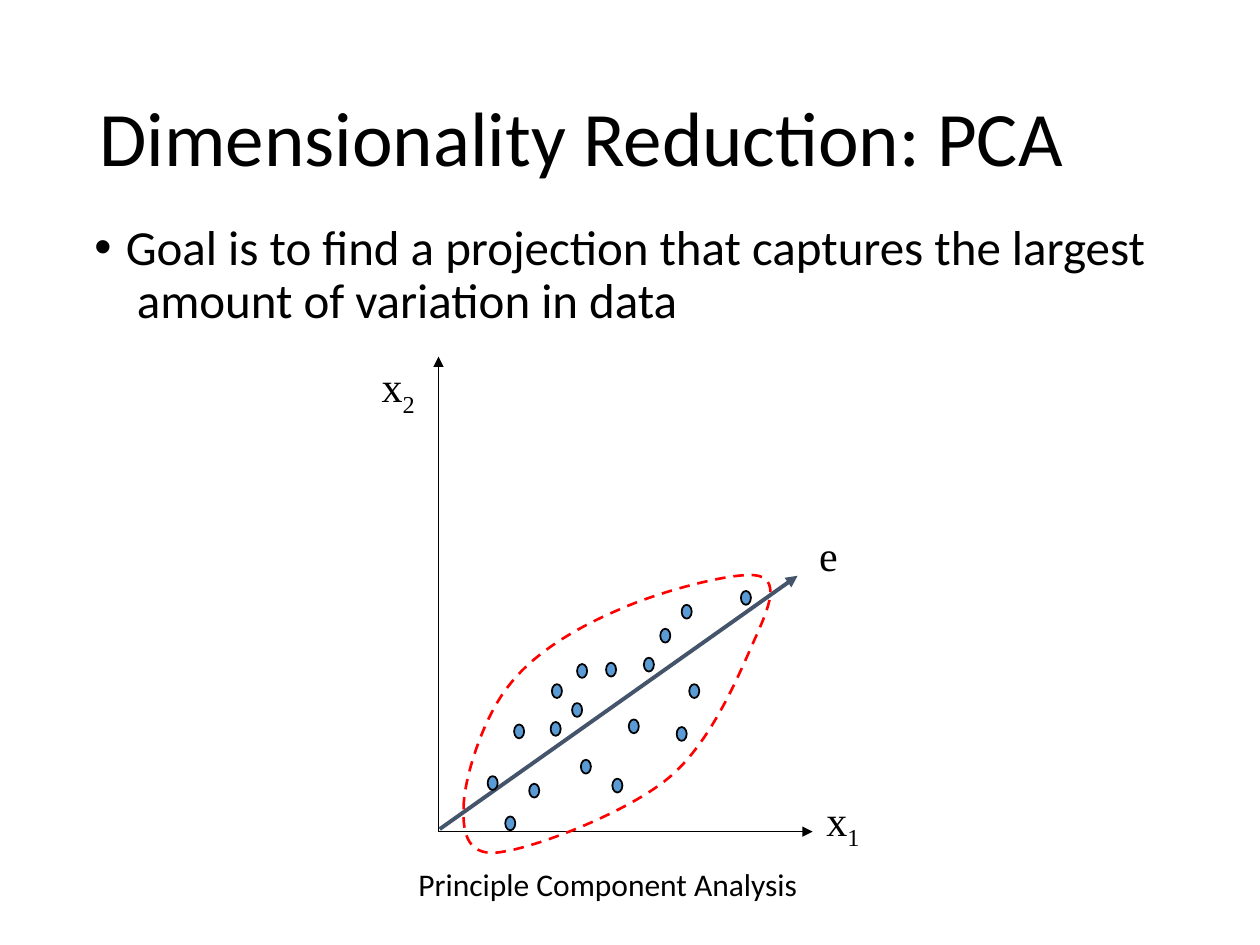
from dataclasses import dataclass

from lxml import etree
from pptx import Presentation
from pptx.dml.color import RGBColor
from pptx.enum.dml import MSO_LINE
from pptx.enum.shapes import MSO_CONNECTOR, MSO_SHAPE
from pptx.enum.text import MSO_ANCHOR, PP_ALIGN
from pptx.oxml.ns import qn
from pptx.util import Inches, Pt

OVAL = MSO_SHAPE.OVAL
LINE = MSO_CONNECTOR.STRAIGHT
DASH = MSO_LINE.DASH
TOP, MIDDLE = MSO_ANCHOR.TOP, MSO_ANCHOR.MIDDLE
LEFT, CENTER = PP_ALIGN.LEFT, PP_ALIGN.CENTER


@dataclass(frozen=True)
class Theme:
    ink: str = "000000"
    vector: str = "44546A"
    point: str = "5B9BD5"
    outline: str = "FF0000"
    sans: str = "Calibri"
    serif: str = "Times New Roman"
    title: int = 44
    body: int = 28
    label: int = 24
    caption: int = 18


class Canvas:
    def __init__(self, slide, theme):
        self.shapes = slide.shapes
        self.theme = theme

    def stroke(self, line, color, width):
        line.color.rgb = RGBColor.from_string(color)
        line.width = Pt(width)

    def text(self, box, runs, size, font, align=LEFT, anchor=TOP,
             wrap=True, spacing=None, bullet=False):
        shape = self.shapes.add_textbox(*map(Inches, box))
        frame = shape.text_frame
        frame.word_wrap = wrap
        frame.vertical_anchor = anchor
        para = frame.paragraphs[0]
        para.alignment = align
        if spacing:
            para.line_spacing = spacing
        if bullet:
            props = para._p.get_or_add_pPr()
            props.set("marL", str(Inches(0.25)))
            props.set("indent", str(Inches(-0.25)))
            etree.SubElement(props, qn("a:buFont")).set("typeface", "Arial")
            etree.SubElement(props, qn("a:buChar")).set("char", "•")
        for words, base in runs:
            run = para.add_run()
            run.text = words
            run.font.size = Pt(size)
            run.font.name = font
            run.font.color.rgb = RGBColor.from_string(self.theme.ink)
            if base:
                run._r.get_or_add_rPr().set("baseline", str(base * 1000))

    def label(self, box, *runs):
        self.text(box, runs, self.theme.label, self.theme.serif,
                  CENTER, MIDDLE, wrap=False)

    def arrow(self, start, end, color, width):
        link = self.shapes.add_connector(LINE, *map(Inches, start + end))
        self.stroke(link.line, color, width)
        etree.SubElement(link.line._get_or_add_ln(),
                         qn("a:tailEnd")).set("type", "triangle")
        etree.SubElement(link._element.spPr, qn("a:effectLst"))

    def dot(self, x, y):
        shape = self.shapes.add_shape(
            OVAL, *map(Inches, (x, y, 0.08, 0.11)))
        shape.shadow.inherit = False
        shape.fill.solid()
        shape.fill.fore_color.rgb = RGBColor.from_string(self.theme.point)
        self.stroke(shape.line, self.theme.ink, 1)

    def curve(self, start, points):
        draft = self.shapes.build_freeform(
            Inches(start[0]), Inches(start[1]))
        draft.add_line_segments(
            [(Inches(x), Inches(y)) for x, y in points], close=True)
        shape = draft.convert_to_shape()
        shape.shadow.inherit = False
        shape.fill.background()
        self.stroke(shape.line, self.theme.outline, 1.5)
        shape.line.dash_style = DASH
        steps = list(shape._element.iter(qn("a:lnTo")))
        for i in range(0, len(steps), 3):
            bend = etree.Element(qn("a:cubicBezTo"))
            steps[i].addprevious(bend)
            for step in steps[i:i + 3]:
                bend.append(step[0])
                step.getparent().remove(step)


DOTS = [
    (4.08, 5.75), (4.38, 5.43), (3.87, 6.16), (4.54, 5.58), (4.37, 5.73),
    (4.99, 5.71), (4.86, 6.18), (4.61, 6.03), (4.81, 5.26), (5.47, 5.43),
    (5.88, 4.69), (4.2, 6.22), (5.11, 5.22), (5.41, 4.8), (4.58, 5.27),
    (5.24, 4.99), (5.37, 5.77), (4.01, 6.48),
]
START = (3.68, 6.41)
BENDS = [
    (3.68, 6.19), (3.83, 5.7), (4.04, 5.44),
    (4.24, 5.18), (4.58, 4.98), (4.91, 4.84),
    (5.24, 4.69), (5.85, 4.53), (6.02, 4.57),
    (6.2, 4.62), (6.09, 4.85), (5.97, 5.12),
    (5.85, 5.39), (5.63, 5.91), (5.3, 6.18),
    (4.97, 6.45), (4.27, 6.72), (3.99, 6.76),
    (3.72, 6.81), (3.67, 6.63), START,
]
ORIGIN = (3.48, 6.6)


def main():
    deck = Presentation()
    deck.slide_width, deck.slide_height = Inches(10), Inches(7.5)
    theme = Theme()
    art = Canvas(deck.slides.add_slide(deck.slide_layouts[6]), theme)

    art.text((0.69, 0.4, 8.62, 1.45),
             [("Dimensionality Reduction: PCA", 0)],
             theme.title, theme.sans, anchor=MIDDLE, spacing=0.9)
    art.text((0.65, 1.72, 8.62, 4.76),
             [("Goal is to find a projection that captures the largest"
               "  amount of variation in data", 0)],
             theme.body, theme.sans, spacing=0.9, bullet=True)

    art.arrow(ORIGIN, (3.48, 2.83), theme.ink, 1)
    art.arrow(ORIGIN, (6.45, 6.6), theme.ink, 1)
    art.arrow((3.49, 6.58), (6.33, 4.57), theme.vector, 2.25)
    for x, y in DOTS:
        art.dot(x, y)
    art.curve(START, BENDS)

    art.label((2.92, 2.84, 0.48, 0.5), ("x", 0), ("2", -25))
    art.label((6.45, 6.28, 0.48, 0.5), ("x", 0), ("1", -25))
    art.label((6.4, 4.15, 0.35, 0.5), ("e", 0))
    art.text((3.14, 6.82, 3.37, 0.4), [("Principle Component Analysis", 0)],
             theme.caption, theme.sans, CENTER, wrap=False)
    deck.save("out.pptx")


if __name__ == "__main__":
    main()
